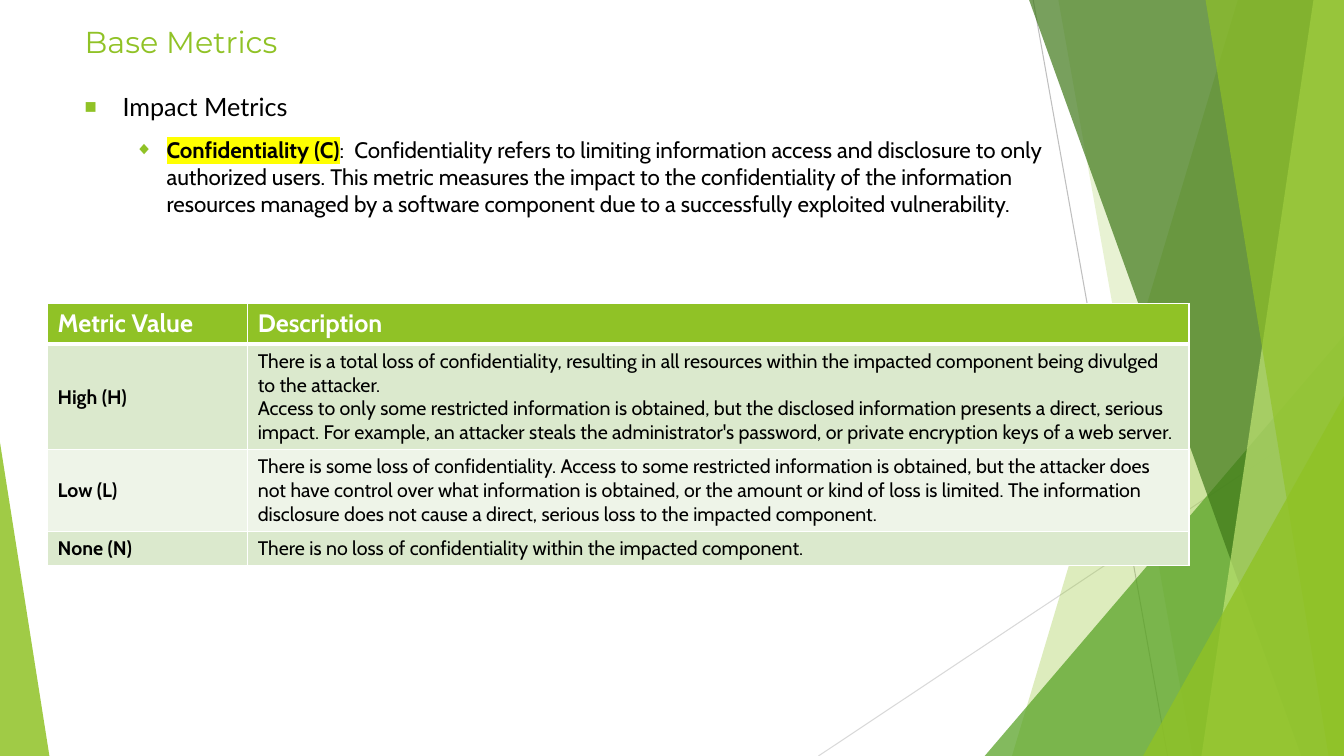
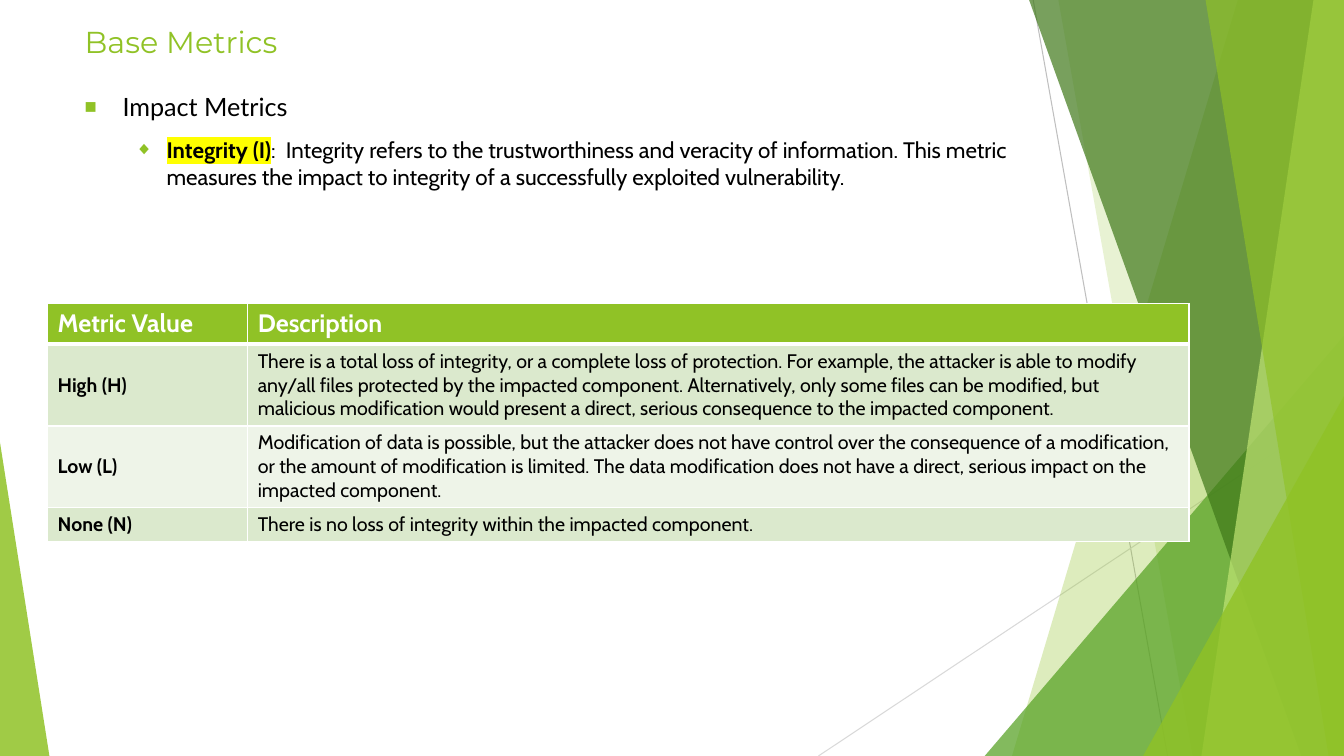
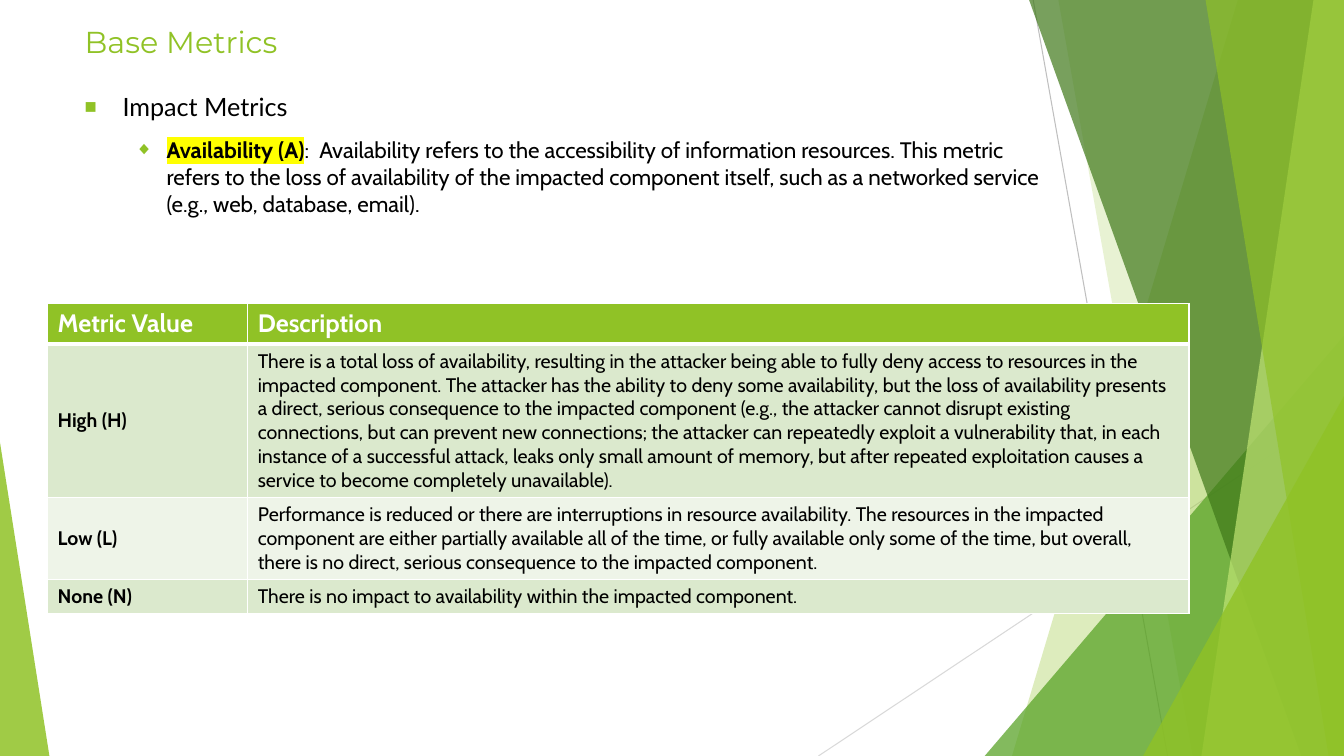
from lxml.etree import SubElement as Sub
from pptx import Presentation
from pptx.dml.color import RGBColor as RGB
from pptx.enum.shapes import MSO_CONNECTOR as Link, MSO_SHAPE as Form
from pptx.enum.text import MSO_ANCHOR as Anchor, MSO_AUTO_SIZE as Fit, PP_ALIGN as Align
from pptx.oxml.ns import qn
from pptx.util import Pt


class Theme:
    lime, leaf, moss, pale = "90C226", "54A021", "3F7819", "C0E474"
    odd, even, mark = "DBE9CD", "EEF4E8", "FFFF00"
    black, white = "000000", "FFFFFF"
    gray, mist = "BFBFBF", "D9D9D9"
    head, text, bold = "Montserrat", "Lato", "Cabin"
    title, topic, point, cell = 21.6, 18, 16, 14


def style(para, face, size, color, bold=False):
    font = para.font
    font.name, font.size, font.bold = face, Pt(size), bold
    font.color.rgb = RGB.from_string(color)


def tint(node, tag, color):
    return Sub(Sub(node, qn(tag)), qn("a:srgbClr"), val=color)


wide, high = 960, 540

lines = [
    ((738, 0, 834, high), Theme.gray),
    ((wide, 290.2, 584.6, high), Theme.mist),
]

facets = [
    ((884.2, 722.9), Theme.lime, 30),
    ((756, 851.8), Theme.lime, 20),
    ((703.4, 239.8, 256.6, 1), Theme.leaf, 72),
    ((735.1, 929.5), Theme.moss, 70),
    ((938.2, 858.2), Theme.pale, 70),
    ((861.1, 949), Theme.lime, 65),
    ((816.5, 283, 143.5, 1), Theme.lime, 80),
    ((0, 316.1, 35.3, 0), Theme.lime, 85),
]

metrics = [
    (
        "Confidentiality (C)",
        ":  Confidentiality refers to limiting information access and disclosure to only authorized users. "
        "This metric measures the impact to the confidentiality of the information resources managed by a "
        "software component due to a successfully exploited vulnerability.",
        "There is a total loss of confidentiality, resulting in all resources within the impacted component "
        "being divulged to the attacker.\n"
        "Access to only some restricted information is obtained, but the disclosed information presents a "
        "direct, serious impact. For example, an attacker steals the administrator's password, or private "
        "encryption keys of a web server.",
        "There is some loss of confidentiality. Access to some restricted information is obtained, but the "
        "attacker does not have control over what information is obtained, or the amount or kind of loss is "
        "limited. The information disclosure does not cause a direct, serious loss to the impacted component.",
        "There is no loss of confidentiality within the impacted component.",
    ),
    (
        "Integrity (I)",
        ":  Integrity refers to the trustworthiness and veracity of information. This metric measures the "
        "impact to integrity of a successfully exploited vulnerability.",
        "There is a total loss of integrity, or a complete loss of protection. For example, the attacker is "
        "able to modify any/all files protected by the impacted component. Alternatively, only some files can "
        "be modified, but malicious modification would present a direct, serious consequence to the impacted "
        "component.",
        "Modification of data is possible, but the attacker does not have control over the consequence of a "
        "modification, or the amount of modification is limited. The data modification does not have a direct, "
        "serious impact on the impacted component.",
        "There is no loss of integrity within the impacted component.",
    ),
    (
        "Availability (A)",
        ":  Availability refers to the accessibility of information resources. This metric refers to the loss "
        "of availability of the impacted component itself, such as a networked service (e.g., web, database, "
        "email).",
        "There is a total loss of availability, resulting in the attacker being able to fully deny access to "
        "resources in the impacted component. The attacker has the ability to deny some availability, but the "
        "loss of availability presents a direct, serious consequence to the impacted component (e.g., the "
        "attacker cannot disrupt existing connections, but can prevent new connections; the attacker can "
        "repeatedly exploit a vulnerability that, in each instance of a successful attack, leaks only small "
        "amount of memory, but after repeated exploitation causes a service to become completely unavailable).",
        "Performance is reduced or there are interruptions in resource availability. The resources in the "
        "impacted component are either partially available all of the time, or fully available only some of "
        "the time, but overall, there is no direct, serious consequence to the impacted component.",
        "There is no impact to availability within the impacted component.",
    ),
]

deck = Presentation()
deck.slide_width, deck.slide_height = Pt(wide), Pt(high)
layout = deck.slide_layouts[1]
for slot, box in ((0, (53.3, 13, 676.8, 33.8)), (1, (53.3, 61.9, 709.9, 129.6))):
    holder = layout.placeholders.get(slot)
    holder.left, holder.top, holder.width, holder.height = map(Pt, box)

slides = [deck.slides.add_slide(layout) for _ in metrics]
stage = slides[0].shapes
decor = []
for ends, color in lines:
    line = stage.add_connector(Link.STRAIGHT, *map(Pt, ends))
    line.line.color.rgb = RGB.from_string(color)
    line.line.width = Pt(0.75)
    Sub(line.element.spPr, qn("a:effectLst"))
    decor.append(line)

for place, color, alpha in facets:
    if len(place) == 2:
        top, base = map(Pt, place)
        pen = stage.build_freeform(top, 0)
        pen.add_line_segments([(Pt(wide), 0), (Pt(wide), Pt(high)), (base, Pt(high))])
        facet = pen.convert_to_shape()
    else:
        left, top, width, skew = place
        facet = stage.add_shape(Form.ISOSCELES_TRIANGLE, Pt(left), Pt(top), Pt(width), Pt(high - top))
        facet.adjustments[0] = skew
    facet.shadow.inherit = False
    facet.line.fill.background()
    facet.fill.solid()
    facet.fill.fore_color.rgb = RGB.from_string(color)
    shade = facet.element.spPr.find(qn("a:solidFill"))[0]
    Sub(shade, qn("a:alpha"), val=str(alpha * 1000))
    decor.append(facet)

for shape in decor:
    layout.shapes.element.append(shape.element)

for slide, (name, about, *levels) in zip(slides, metrics):
    title = slide.shapes.title
    title.text = "Base Metrics"
    frame = title.text_frame
    frame.auto_size, frame.vertical_anchor = Fit.NONE, Anchor.MIDDLE
    frame.paragraphs[0].alignment = Align.LEFT
    style(frame.paragraphs[0], Theme.head, Theme.title, Theme.lime)

    frame = slide.placeholders[1].text_frame
    frame.auto_size = Fit.NONE
    topic, point = frame.paragraphs[0], frame.add_paragraph()
    topic.text = "Impact Metrics"
    point.level = 1
    term = point.add_run()
    term.text, term.font.bold = name, True
    tint(term.font._element, "a:highlight", Theme.mark)
    point.add_run().text = about
    for para, sign, left, hang, face, size in (
        (topic, "■", 27, 27, Theme.text, Theme.topic),
        (point, "◆", 58.5, 22.5, Theme.bold, Theme.point),
    ):
        para.space_before = Pt(10)
        props = para._p.get_or_add_pPr()
        props.set("marL", str(Pt(left)))
        props.set("indent", str(-Pt(hang)))
        tint(props, "a:buClr", Theme.lime)
        Sub(props, qn("a:buSzPct"), val="80000")
        Sub(props, qn("a:buChar"), char=sign)
        style(para, face, size, Theme.black)

    rows = [("Metric Value", "Description"), *zip(("High (H)", "Low (L)", "None (N)"), levels)]
    widths, heights = (143, 672.4), (24, 32, 12, 12)
    table = slide.shapes.add_table(
        len(rows), 2, Pt(34), Pt(216.7), Pt(sum(widths)), Pt(sum(heights))
    ).table
    for col, width in zip(table.columns, widths):
        col.width = Pt(width)
    for i, (row, height, texts) in enumerate(zip(table.rows, heights, rows)):
        row.height = Pt(height)
        fill = (Theme.odd if i % 2 else Theme.even) if i else Theme.lime
        for j, (cell, text) in enumerate(zip(row.cells, texts)):
            cell.text = text
            if i and not j:
                cell.vertical_anchor = Anchor.MIDDLE
            props = cell._tc.get_or_add_tcPr()
            for side in "LRTB":
                thick = (i, side) in ((0, "B"), (1, "T"))
                edge = Sub(props, qn("a:ln" + side), w=str(Pt(3 if thick else 1)))
                tint(edge, "a:solidFill", Theme.white)
            cell.fill.solid()
            cell.fill.fore_color.rgb = RGB.from_string(fill)
            for para in cell.text_frame.paragraphs:
                if i:
                    style(para, Theme.bold, Theme.cell, Theme.black, not j)
                else:
                    style(para, Theme.bold, Theme.topic, Theme.white, True)

deck.save("out.pptx")
